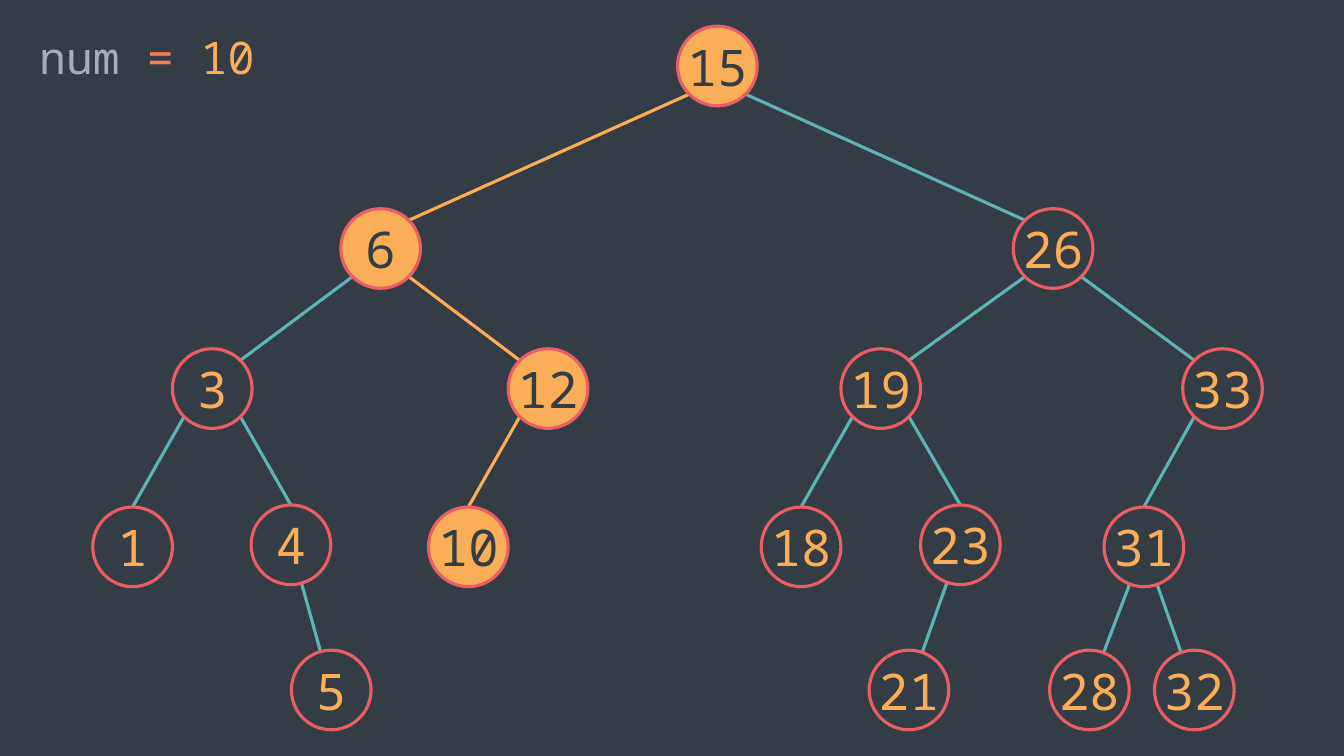
from pptx import Presentation
from pptx.dml.color import RGBColor
from pptx.enum.shapes import MSO_CONNECTOR as Link, MSO_SHAPE as Form
from pptx.enum.text import MSO_ANCHOR as Anchor, MSO_AUTO_SIZE as Fit, PP_ALIGN as Align
from pptx.oxml.ns import qn
from pptx.util import Inches, Pt
from lxml import etree

DARK = RGBColor(0x34, 0x3D, 0x46)
GOLD = RGBColor(0xF9, 0xAE, 0x57)
TEAL = RGBColor(0x5E, 0xB4, 0xB4)
ROSE = RGBColor(0xEC, 0x5E, 0x66)
GREY = RGBColor(0xA6, 0xAC, 0xB9)
CORAL = RGBColor(0xF9, 0x7B, 0x57)

SIZE = 0.79
HALF = SIZE / 2
SLANT = 0.28

ROWS = [
    [(15, 6.72, 0.26, None)],
    [(6, 3.38, 2.07, 15), (26, 10.05, 2.07, 15)],
    [(3, 1.71, 3.46, 6), (12, 5.04, 3.46, 6),
     (19, 8.34, 3.46, 26), (33, 11.73, 3.46, 26)],
    [(1, 0.92, 5.03, 3), (4, 2.49, 5.01, 3), (10, 4.25, 5.03, 12),
     (18, 7.55, 5.03, 19), (23, 9.13, 5.01, 19), (31, 10.95, 5.03, 33)],
    [(5, 2.89, 6.45, 4), (21, 8.62, 6.45, 23),
     (28, 10.41, 6.45, 31), (32, 11.45, 6.45, 31)],
]
ROUTE = {15, 6, 12, 10}


def write(para, text, color=GOLD, size=36, face="Noto Sans Mono", align=None):
    run = para.add_run()
    run.text = text
    run.font.name = face
    run.font.size = Pt(size)
    run.font.color.rgb = color
    if align is not None:
        para.alignment = align


class Board:
    def __init__(self, slide, width=2.25):
        self.slide = slide
        self.width = Pt(width)
        back = slide.background.fill
        back.solid()
        back.fore_color.rgb = DARK

    def edge(self, start, end, color):
        ends = [Inches(v) for v in (*start, *end)]
        line = self.slide.shapes.add_connector(Link.STRAIGHT, *ends)
        line.line.color.rgb = color
        line.line.width = self.width
        etree.SubElement(line._element.spPr, qn("a:effectLst"))

    def node(self, num, left, top, lit):
        disc = self.slide.shapes.add_shape(
            Form.OVAL, Inches(left), Inches(top), Inches(SIZE), Inches(SIZE))
        disc.shadow.inherit = False
        disc.fill.solid()
        disc.fill.fore_color.rgb = GOLD if lit else DARK
        disc.line.color.rgb = ROSE
        disc.line.width = self.width
        frame = disc.text_frame
        frame.word_wrap = False
        frame.vertical_anchor = Anchor.MIDDLE
        write(frame.paragraphs[0], str(num), color=DARK if lit else GOLD,
              align=Align.CENTER)

    def label(self, left, top, width, height, parts):
        box = self.slide.shapes.add_textbox(
            Inches(left), Inches(top), Inches(width), Inches(height))
        frame = box.text_frame
        frame.word_wrap = True
        frame.auto_size = Fit.SHAPE_TO_FIT_TEXT
        for text, color in parts:
            write(frame.paragraphs[0], text, color=color, size=32)


def span(depth, upper, lower):
    px, py = upper
    cx, cy = lower
    side = SLANT if cx > px else -SLANT
    if depth == 4:
        return upper, lower
    start = (px + side, py + SLANT)
    if depth == 3:
        return start, (cx, cy - HALF)
    return start, (cx - side, cy - SLANT)


def main():
    deck = Presentation()
    deck.slide_width = Inches(13.33)
    deck.slide_height = Inches(7.5)
    board = Board(deck.slides.add_slide(deck.slide_layouts[6]))

    mids = {num: (left + HALF, top + HALF)
            for row in ROWS for num, left, top, _ in row}
    for depth, row in enumerate(ROWS):
        for num, _, _, root in row:
            if root is not None:
                start, end = span(depth, mids[root], mids[num])
                board.edge(start, end, GOLD if num in ROUTE else TEAL)
    for row in ROWS:
        for num, left, top, _ in row:
            board.node(num, left, top, num in ROUTE)

    board.label(0.29, 0.25, 2.54, 0.64,
                [("num ", GREY), ("= ", CORAL), ("10", GOLD)])
    deck.save("out.pptx")


if __name__ == "__main__":
    main()
